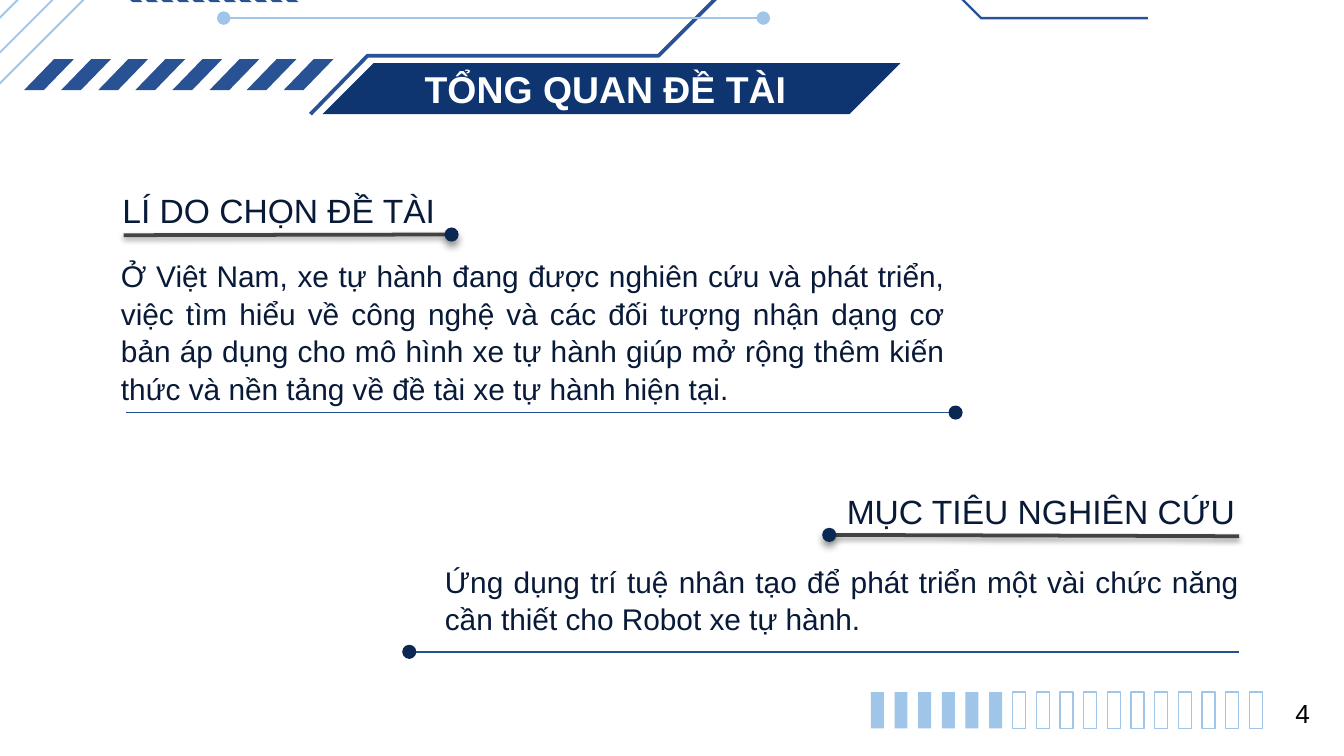
from lxml.etree import SubElement
from pptx import Presentation
from pptx.dml.color import RGBColor
from pptx.enum.shapes import MSO_CONNECTOR, MSO_SHAPE
from pptx.enum.text import MSO_ANCHOR, MSO_AUTO_SIZE, PP_ALIGN
from pptx.oxml.ns import qn
from pptx.util import Inches, Pt

COLORS = {
    "sky": "9FC5E8", "blue": "285293", "rule": "255092", "banner": "0F3570",
    "dot": "0B2854", "text": "081A38", "grey": "434343",
    "white": "FFFFFF", "black": "000000",
}
FONT = "Arial"
COMPARISON_LAYOUT = 4
DOT_SHADOW = (40, 4, 3)
RULE_SHADOW = (38, 3.1, 1.6)


class SlideBuilder:
    """Draws on one slide; lengths are cells of a grid 100 columns wide."""

    def __init__(self, deck):
        self.cell = deck.slide_width // 100
        self.slide = deck.slides.add_slide(deck.slide_layouts[COMPARISON_LAYOUT])
        self.shapes = self.slide.shapes

    def grid(self, *cells):
        return [round(cell * self.cell) for cell in cells]

    def effects(self, shape, shadow=None):
        """Set a downward shadow of (opacity %, blur pt, distance pt), or none."""
        effect_list = SubElement(shape.element.spPr, qn("a:effectLst"))
        if shadow:
            opacity, blur, distance = shadow
            outer = SubElement(effect_list, qn("a:outerShdw"), blurRad=str(Pt(blur)),
                               dist=str(Pt(distance)), dir="5400000",
                               algn="bl", rotWithShape="0")
            color = SubElement(outer, qn("a:srgbClr"), val=COLORS["black"])
            SubElement(color, qn("a:alpha"), val=str(opacity * 1000))

    def paint(self, shape, fill=None, line=None, width=0.75, shadow=None):
        if fill:
            shape.fill.solid()
            shape.fill.fore_color.rgb = RGBColor.from_string(COLORS[fill])
        else:
            shape.fill.background()
        if line:
            self.stroke(shape, line, width)
        else:
            shape.line.fill.background()
        self.effects(shape, shadow)

    def stroke(self, shape, color, width):
        shape.line.color.rgb = RGBColor.from_string(COLORS[color])
        shape.line.width = Pt(width)

    def preset(self, kind, box, slant=None, **style):
        shape = self.shapes.add_shape(kind, *self.grid(*box))
        if slant is not None:
            shape.adjustments[0] = slant
        self.paint(shape, **style)

    def dot(self, x, y, size, **style):
        """Draw a circle centred on x, y."""
        self.preset(MSO_SHAPE.OVAL, (x - size / 2, y - size / 2, size, size), **style)

    def outline(self, points, closed=False, **style):
        start, *rest = [self.grid(*point) for point in points]
        builder = self.shapes.build_freeform(*start)
        builder.add_line_segments(rest, close=closed)
        self.paint(builder.convert_to_shape(), **style)

    def rule(self, start, end, color, width, shadow=None):
        line = self.shapes.add_connector(MSO_CONNECTOR.STRAIGHT, *self.grid(*start, *end))
        self.stroke(line, color, width)
        self.effects(line, shadow)

    def set_text(self, paragraph, text, size, color, bold=False):
        paragraph.text = text
        paragraph.font.name = FONT
        paragraph.font.size = Pt(size)
        paragraph.font.bold = bold
        paragraph.font.color.rgb = RGBColor.from_string(COLORS[color])

    def placeholder(self, index, box, text, size, color="text", bold=False,
                    align=PP_ALIGN.CENTER, spacing=1.0):
        """Fill a template placeholder and bring it to the front."""
        holder = next(p for p in self.slide.placeholders
                      if p.placeholder_format.idx == index)
        holder.left, holder.top, holder.width, holder.height = self.grid(*box)
        self.shapes.element.append(holder.element)
        frame = holder.text_frame
        frame.margin_left = frame.margin_right = 0
        frame.margin_top = frame.margin_bottom = 0
        frame.word_wrap = True
        frame.auto_size = MSO_AUTO_SIZE.NONE
        frame.vertical_anchor = MSO_ANCHOR.MIDDLE
        paragraph = frame.paragraphs[0]
        properties = paragraph._p.get_or_add_pPr()
        properties.set("marL", "0")
        properties.set("indent", "0")
        SubElement(properties, qn("a:buNone"))
        paragraph.alignment = align
        paragraph.space_before = Pt(0)
        paragraph.line_spacing = spacing
        self.set_text(paragraph, text, size, color, bold)

    def page_number(self, box, text):
        frame = self.shapes.add_textbox(*self.grid(*box)).text_frame
        frame.word_wrap = False
        self.set_text(frame.paragraphs[0], text, 14, "black")


def draw_header(page):
    page.outline([(-1.9, 8.1), (12.7, -6.5), (25.9, -6.5), (31.4, -1), (44.9, -1),
                  (52.9, -9), (60.4, -9)], line="sky", width=1)
    page.outline([(23.1, 8.5), (27.35, 4.15), (49, 4.15), (54.65, -1.5), (64.6, -1.5)],
                 line="blue", width=2)
    page.outline([(58.5, -3.8), (67.85, -3.8), (73, 1.35), (85.4, 1.35)],
                 line="blue", width=1.25)
    page.rule((16.65, 1.35), (56.8, 1.35), "sky", 1)
    for x in (56.8, 16.65):
        page.dot(x, 1.35, 1, fill="sky")
    for x, y in ((-4.3, 8.2), (-6.1, 7.4)):
        page.rule((x, y), (x + 14.8, y - 14.8), "sky", 1)
    for i in range(8):
        page.preset(MSO_SHAPE.PARALLELOGRAM, (1.8 + 2.76 * i, 4.4, 3.7, 2.3),
                    slant=0.97, fill="blue")
    for i in range(11):
        x = 8.7 + 1.16 * i
        page.outline([(x + 1.9, 0.15), (x + 0.75, -0.9), (x + 1.8, -1.9),
                      (x + 1.05, -1.9), (x, -0.9), (x + 1.15, 0.15)],
                     closed=True, fill="blue")


def draw_progress(page, done=6, total=17):
    for i in range(total):
        style = {"fill": "sky"} if i < done else {"line": "sky"}
        page.preset(MSO_SHAPE.RECTANGLE, (64.8 + 1.76 * i, 51.5, 0.97, 2.7), **style)


def draw_section(page, index, heading, heading_box, body, body_box,
                 heading_rule, body_rule):
    """Add heading and body; each rule runs from its dot to its plain end."""
    page.rule(*heading_rule, "grey", 2, RULE_SHADOW)
    page.dot(*heading_rule[0], 1.05, fill="dot", shadow=DOT_SHADOW)
    page.rule(*body_rule, "rule", 0.75)
    page.dot(*body_rule[0], 1.05, fill="dot")
    page.placeholder(index, heading_box, heading, 18)
    page.placeholder(index + 1, body_box, body, 16,
                     align=PP_ALIGN.JUSTIFY, spacing=1.05)


def main():
    deck = Presentation()
    deck.slide_width = Inches(10)
    deck.slide_height = deck.slide_width * 9 // 16
    page = SlideBuilder(deck)

    draw_header(page)
    draw_progress(page)
    page.preset(MSO_SHAPE.PARALLELOGRAM, (24, 4.7, 43, 3.8), slant=1, fill="banner")
    page.placeholder(0, (27.7, 4.7, 34.7, 3.8), "TỔNG QUAN ĐỀ TÀI", 20, "white", bold=True)
    draw_section(
        page, 1, "LÍ DO CHỌN ĐỀ TÀI", (2.7, 13.8, 36.1, 3.6),
        "Ở Việt Nam, xe tự hành đang được nghiên cứu và phát triển, việc tìm hiểu về "
        "công nghệ và các đối tượng nhận dạng cơ bản áp dụng cho mô hình xe tự hành "
        "giúp mở rộng thêm kiến thức và nền tảng về đề tài xe tự hành hiện tại.",
        (9, 18.6, 61.3, 12.1),
        heading_rule=((33.6, 17.45), (9.2, 17.5)), body_rule=((71.1, 30.7), (9.4, 30.7)))
    draw_section(
        page, 3, "MỤC TIÊU NGHIÊN CỨU", (59.4, 36.2, 36.1, 3.6),
        "Ứng dụng trí tuệ nhân tạo để phát triển một vài chức năng cần thiết cho "
        "Robot xe tự hành.",
        (33.1, 40.7, 59.1, 7.8),
        heading_rule=((61.7, 39.8), (92.2, 39.9)), body_rule=((30.45, 48.5), (92.2, 48.5)))
    page.page_number((95.4, 51.4, 3.1, 3.4), "4")
    deck.save("out.pptx")


if __name__ == "__main__":
    main()
